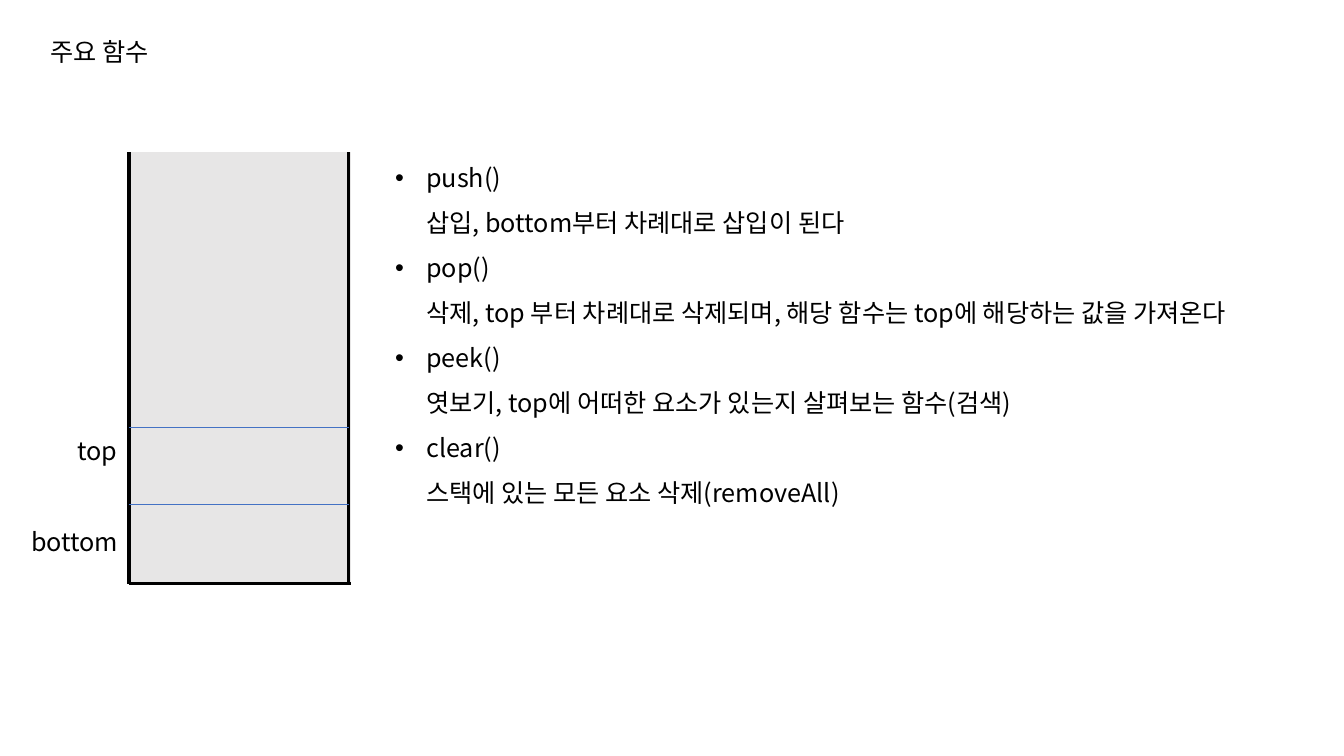
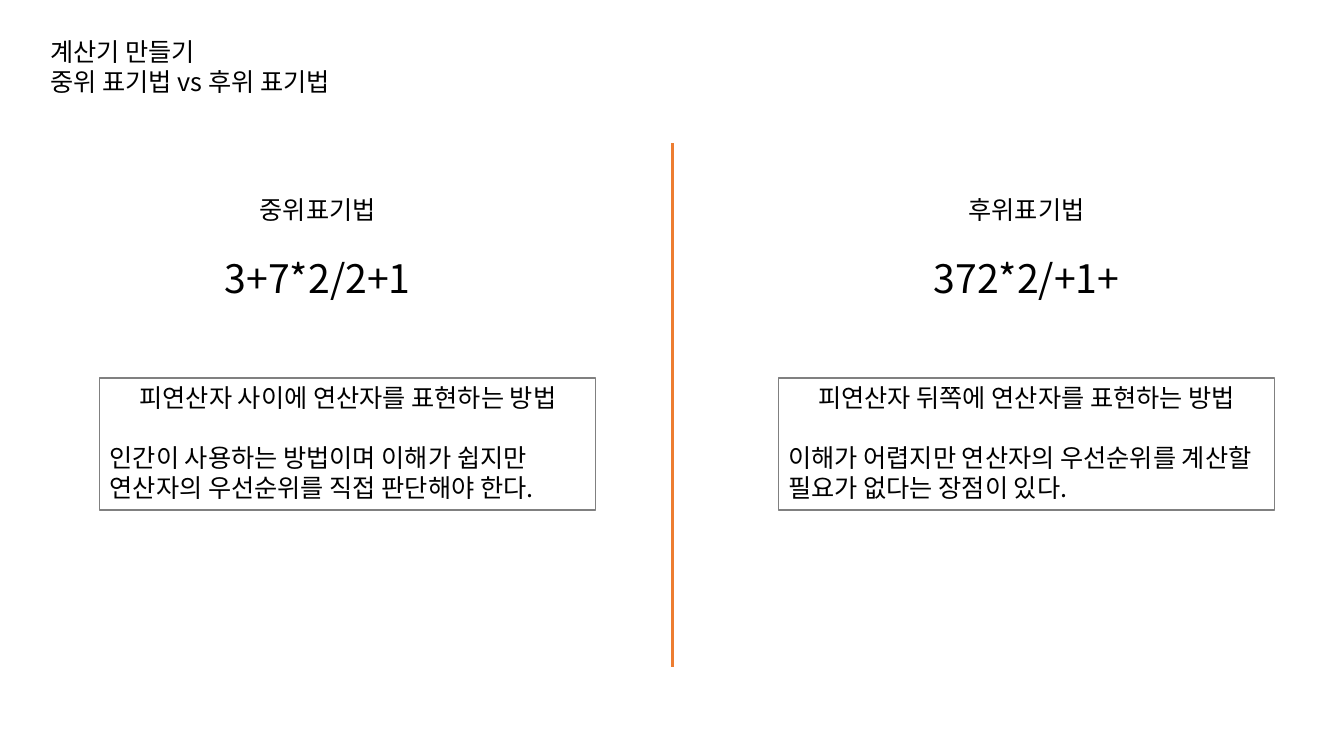
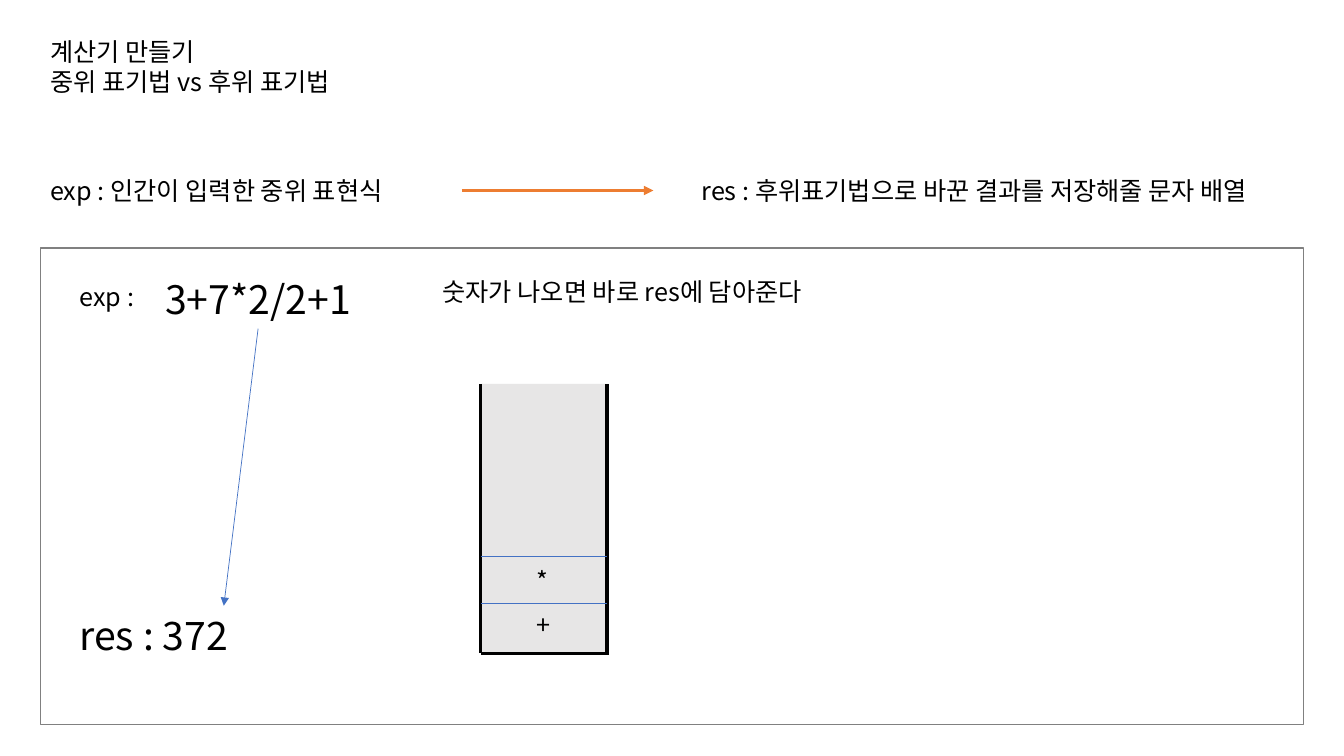
from lxml.etree import SubElement
from pptx import Presentation
from pptx.dml.color import RGBColor
from pptx.enum.shapes import MSO_CONNECTOR, MSO_SHAPE
from pptx.enum.text import PP_ALIGN
from pptx.oxml.ns import qn
from pptx.util import Inches, Pt

BLACK = RGBColor(0x00, 0x00, 0x00)
LIGHT_GREY = RGBColor(0xE7, 0xE6, 0xE6)
FRAME_GREY = RGBColor(0x80, 0x80, 0x80)
BLUE = RGBColor(0x44, 0x72, 0xC4)
ORANGE = RGBColor(0xED, 0x7D, 0x31)
FONT = "Noto Sans CJK KR"
BODY, FORMULA = 18, 28
LINE_HEIGHT = 1.19  # line pitch as a multiple of the text size
LEFT, CENTER = PP_ALIGN.LEFT, PP_ALIGN.CENTER


def add_text(page, place, lines, spacing=1):
    """Add a text box; each line is (text, size, alignment, space before in points)."""
    box = page.shapes.add_textbox(*(Inches(length) for length in place))
    frame = box.text_frame
    frame.word_wrap = True
    for index, (text, size, alignment, before) in enumerate(lines):
        para = frame.paragraphs[0] if index == 0 else frame.add_paragraph()
        para.text = text
        layout = {"alignment": alignment, "space_before": Pt(before),
                  "line_spacing": Pt(round(size * LINE_HEIGHT * spacing, 1))}
        for name, value in layout.items():
            setattr(para, name, value)
        for span in para.runs:
            for name, value in {"size": Pt(size), "name": FONT}.items():
                setattr(span.font, name, value)
            span.font.color.rgb = BLACK
            SubElement(span.font._element, qn("a:ea"), typeface=FONT)
    return box


def add_line(page, start, end, color, width, arrow=False):
    points = [Inches(length) for length in (*start, *end)]
    line = page.shapes.add_connector(MSO_CONNECTOR.STRAIGHT, *points)
    line.line.color.rgb = color
    line.line.width = Pt(width)
    if arrow:
        SubElement(line.line._get_or_add_ln(), qn("a:tailEnd"), type="triangle")
    SubElement(line._element.spPr, qn("a:effectLst"))
    return line


deck = Presentation()
deck.slide_width, deck.slide_height = Inches(13.33), Inches(7.5)

# Pages and titles
CALCULATOR = ["계산기 만들기", "중위 표기법 vs 후위 표기법"]
pages = []
for title in (["주요 함수"], CALCULATOR, CALCULATOR):
    page = deck.slides.add_slide(deck.slide_layouts[6])
    add_text(page, (0.4, 0.31, 5.51, 0.1 + 0.3 * len(title)),
             [(text, BODY, LEFT, 0) for text in title])
    pages.append(page)
functions_page, notation_page, conversion_page = pages

# Stacks, open at the top, with a divider above each element
stacks = [
    (functions_page, 1.28, 1.51, 2.2, 4.28, (5, 4.24)),
    (conversion_page, 4.77, 3.81, 1.27, 2.67, (5.99, 5.52)),
]
for page, left, top, width, height, dividers in stacks:
    body = page.shapes.add_shape(MSO_SHAPE.RECTANGLE, Inches(left), Inches(top),
                                 Inches(width), Inches(height))
    body.shadow.inherit = False
    body.fill.solid()
    body.fill.fore_color.rgb = LIGHT_GREY
    body.line.fill.background()
    right, bottom = left + width - 0.02, top + height
    add_line(page, (left, top), (left, bottom), BLACK, 2.25)
    add_line(page, (left + width, bottom), (left, bottom), BLACK, 2.25)
    add_line(page, (right, top), (right, bottom), BLACK, 2.25)
    for level in dividers:
        add_line(page, (left, level), (right, level), BLUE, 0.5)

# Main functions
functions = [
    ("push()", "삽입, bottom부터 차례대로 삽입이 된다"),
    ("pop()", "삭제, top 부터 차례대로 삭제되며, 해당 함수는 top에 해당하는 값을 가져온다"),
    ("peek()", "엿보기, top에 어떠한 요소가 있는지 살펴보는 함수(검색)"),
    ("clear()", "스택에 있는 모든 요소 삭제(removeAll)"),
]
function_list = add_text(
    functions_page, (3.82, 1.42, 9.37, 3.68),
    [(f"{name}\v{meaning}", BODY, LEFT, 0) for name, meaning in functions], spacing=1.5)
for para in function_list.text_frame.paragraphs:
    properties = para._p.get_or_add_pPr()
    properties.set("marL", str(Inches(0.31)))
    properties.set("indent", str(-Inches(0.31)))
    SubElement(properties, qn("a:buFont"), typeface="Arial")
    SubElement(properties, qn("a:buChar"), char="•")
add_text(functions_page, (0.21, 5.18, 1.87, 0.4), [("bottom", BODY, LEFT, 0)])
add_text(functions_page, (0.03, 4.27, 1.87, 0.4), [("top", BODY, CENTER, 0)])

# Infix and postfix notation side by side
GAP = round(BODY * LINE_HEIGHT, 1)
notations = [
    (0.99, 0.99, "중위표기법", "3+7*2/2+1", "피연산자 사이에 연산자를 표현하는 방법",
     ["인간이 사용하는 방법이며 이해가 쉽지만", "연산자의 우선순위를 직접 판단해야 한다."]),
    (8.02, 7.72, "후위표기법", "372*2/+1+", "피연산자 뒤쪽에 연산자를 표현하는 방법",
     ["이해가 어렵지만 연산자의 우선순위를 계산할 필요가 없다는 장점이 있다."]),
]
for heading_left, note_left, heading, formula, summary, details in notations:
    add_text(notation_page, (heading_left, 1.88, 4.32, 1.18),
             [(heading, BODY, CENTER, 0), (formula, FORMULA, CENTER, GAP)])
    note = add_text(notation_page, (note_left, 3.75, 4.92, 1.31),
                    [(summary, BODY, CENTER, 0)]
                    + [(text, BODY, LEFT, 0 if index else GAP)
                       for index, text in enumerate(details)])
    note.line.color.rgb = FRAME_GREY
    note.line.width = Pt(0.75)
add_line(notation_page, (6.67, 1.42), (6.67, 6.62), ORANGE, 2.25)

# Conversion from infix to postfix
work_area = conversion_page.shapes.add_shape(
    MSO_SHAPE.RECTANGLE, Inches(0.4), Inches(2.46), Inches(12.53), Inches(4.73))
work_area.shadow.inherit = False
work_area.fill.background()
work_area.line.color.rgb = FRAME_GREY
work_area.line.width = Pt(1)

labels = [
    ("exp : 인간이 입력한 중위 표현식", 0.4, 1.69, 3.89),
    ("res : 후위표기법으로 바꾼 결과를 저장해줄 문자 배열", 6.86, 1.69, 6.26),
    ("숫자가 나오면 바로 res에 담아준다", 4.29, 2.69, 4.17),
    ("exp :", 0.69, 2.74, 4.32),
    ("+", 5.22, 6, 0.69),
    ("*", 5.22, 5.56, 0.69),
]
for text, left, top, width in labels:
    add_text(conversion_page, (left, top, width, 0.4), [(text, BODY, LEFT, 0)])
expression = add_text(conversion_page, (0.4, 2.69, 4.32, 0.57),
                      [("3+7*2/2+1", FORMULA, CENTER, 0)])
add_text(conversion_page, (0.69, 6.02, 4.32, 0.57), [("res : 372", FORMULA, LEFT, 0)])
add_line(conversion_page, (4.58, 1.89), (6.48, 1.89), ORANGE, 2.25, arrow=True)
digit_arrow = add_line(conversion_page, (2.56, 3.26), (2.22, 6.01), BLUE, 0.5, arrow=True)
digit_arrow.begin_connect(expression, 2)

deck.save("out.pptx")
